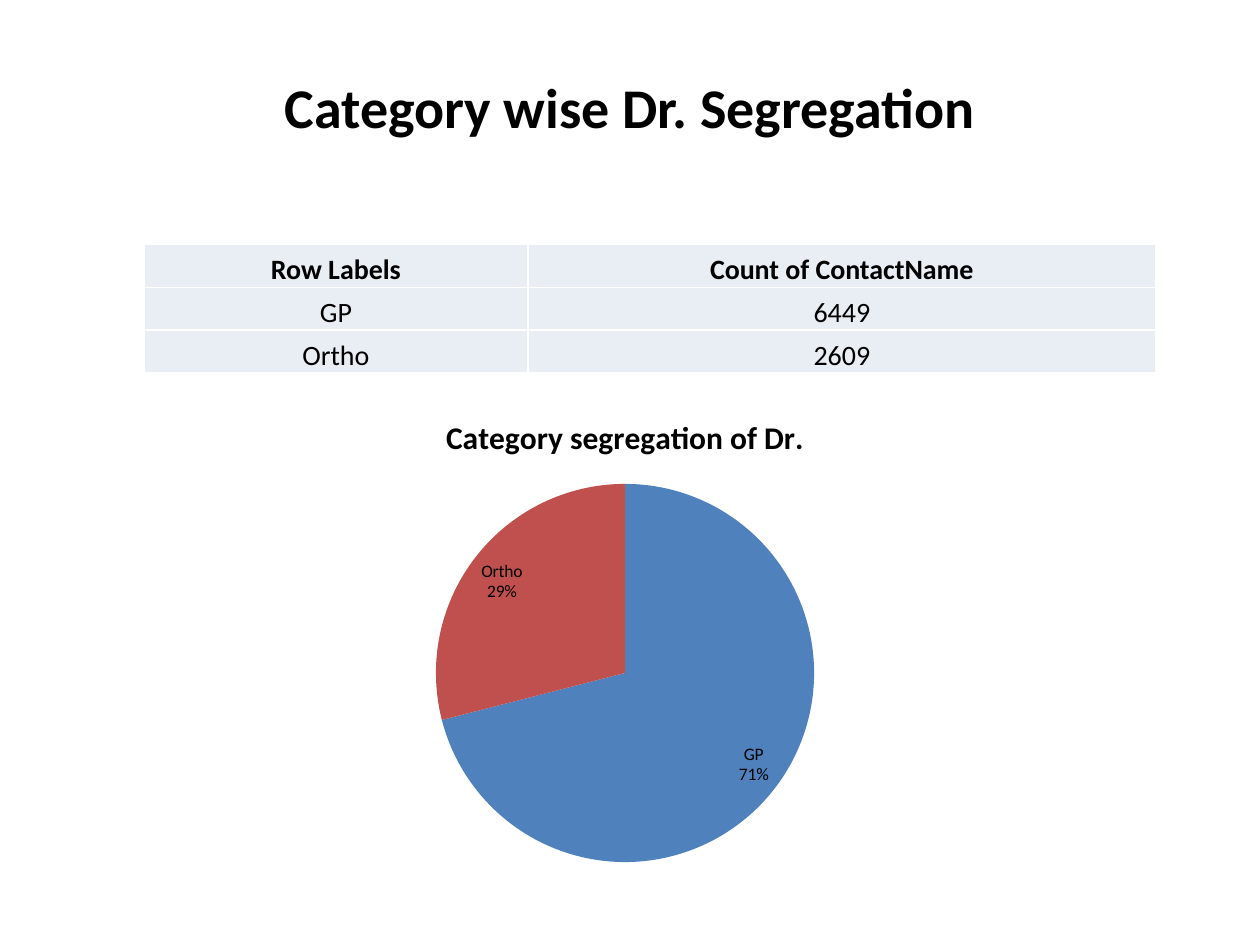
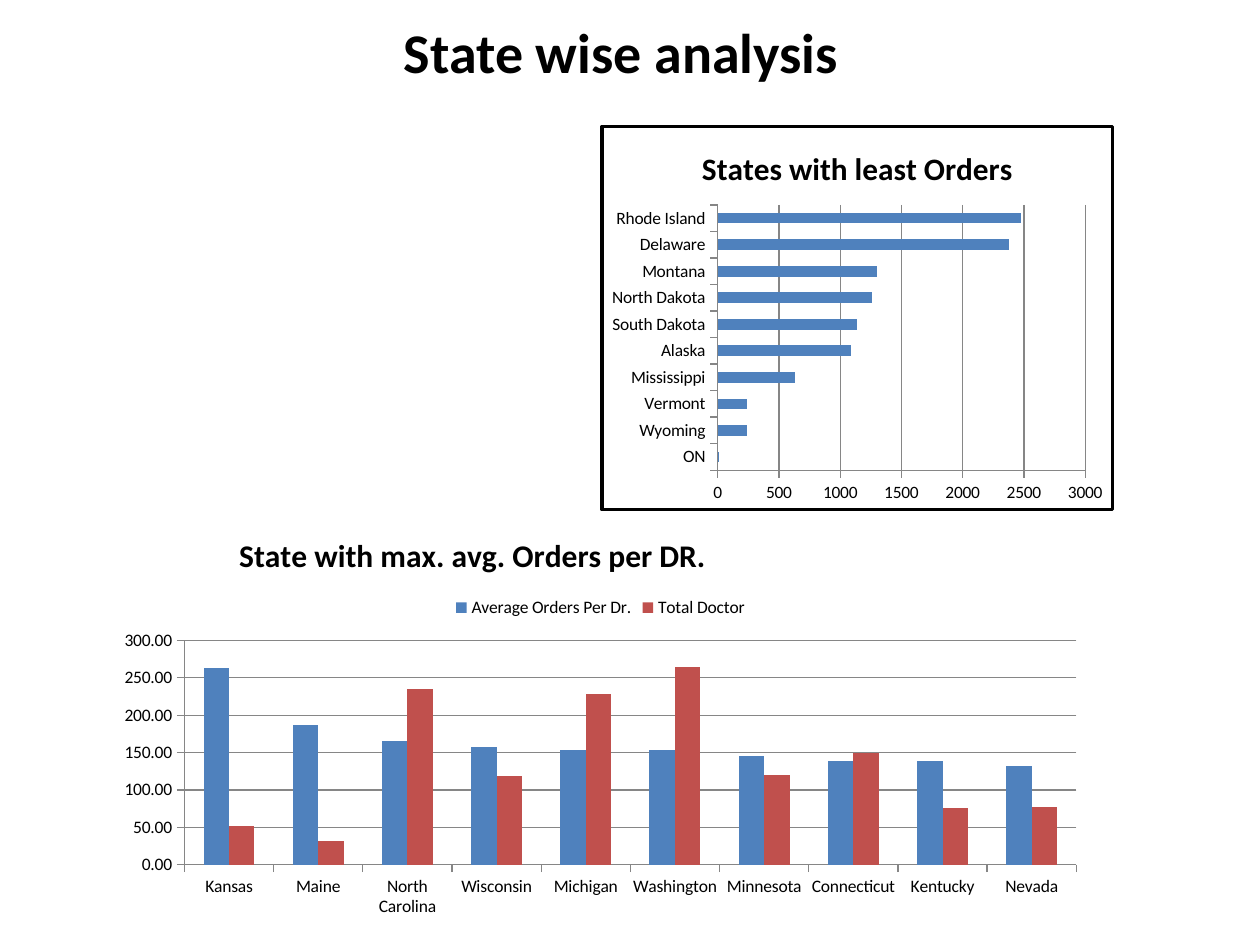
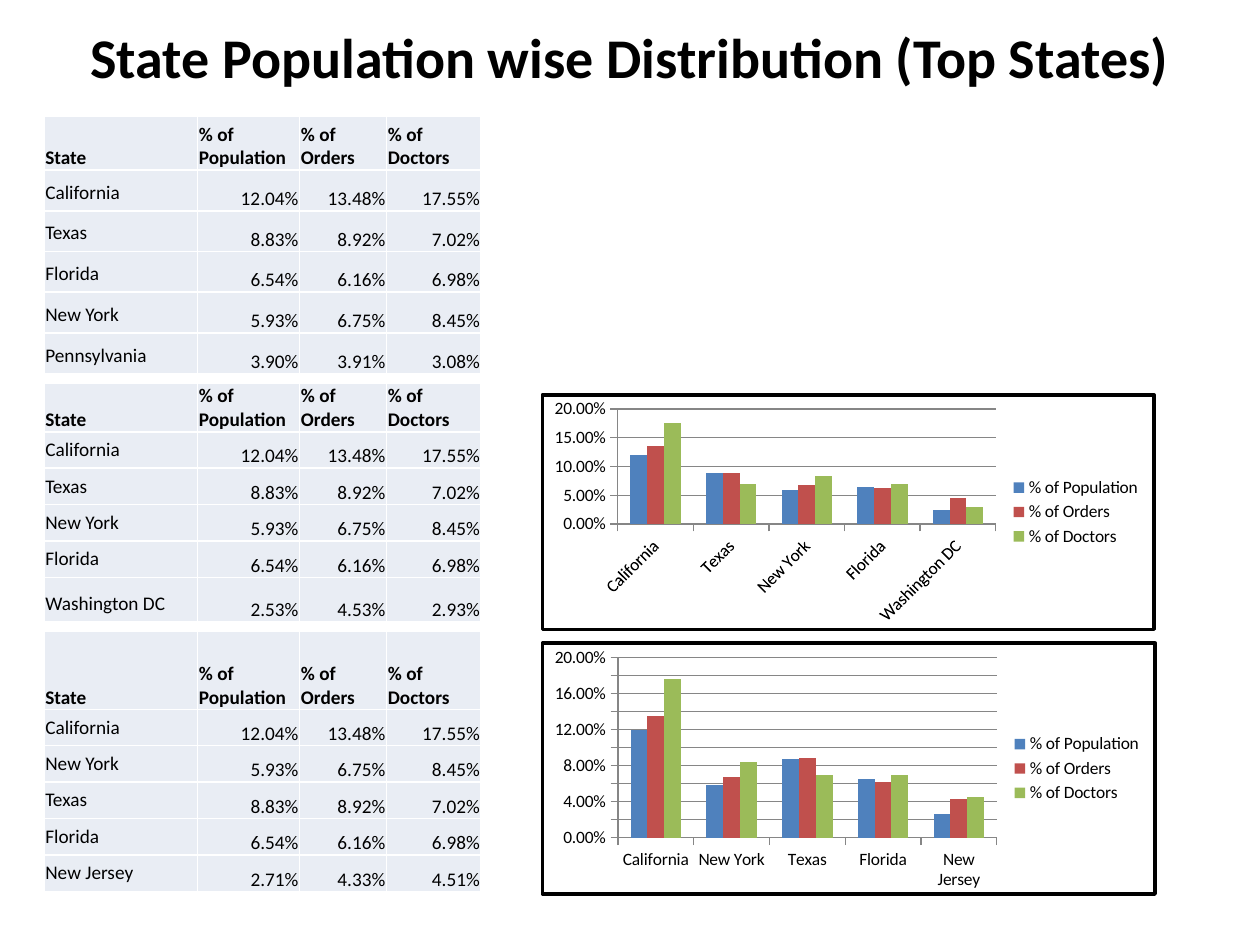
"""Build three slides on doctor and order distribution by category and state."""
from dataclasses import dataclass
from typing import Any, Optional

from pptx import Presentation
from pptx.chart.data import CategoryChartData
from pptx.dml.color import RGBColor
from pptx.enum.chart import XL_CHART_TYPE, XL_LABEL_POSITION, XL_LEGEND_POSITION, XL_TICK_MARK
from pptx.enum.text import MSO_ANCHOR, MSO_AUTO_SIZE, PP_ALIGN
from pptx.oxml import parse_xml
from pptx.oxml.ns import nsdecls, qn
from pptx.util import Pt

COLORS = {
    "text": "000000",
    "paper": "FFFFFF",
    "cell": "E9EDF4",
    "axis": "868686",
    "blue": "4F81BD",
    "red": "C0504D",
    "green": "9BBB59",
}
PALETTE = ("blue", "red", "green")
FONT = "Calibri"
TITLE_FONT = {"name": FONT, "size": Pt(32), "bold": True}
CHART_FONT = {"name": FONT, "size": Pt(10), "bold": False}
CHART_TITLE_FONT = {"name": FONT, "size": Pt(18), "bold": True}
TIGHT = {"margin_left": Pt(0.7), "margin_top": Pt(0.7), "margin_right": Pt(0.7), "margin_bottom": 0}
PADDED = {**TIGHT, "margin_top": Pt(3.6), "margin_bottom": Pt(3.6)}

MEASURES = ("% of Population", "% of Orders", "% of Doctors")
SHARES = {
    "California": (12.04, 13.48, 17.55),
    "Texas": (8.83, 8.92, 7.02),
    "Florida": (6.54, 6.16, 6.98),
    "New York": (5.93, 6.75, 8.45),
    "Pennsylvania": (3.90, 3.91, 3.08),
    "Washington DC": (2.53, 4.53, 2.93),
    "New Jersey": (2.71, 4.33, 4.51),
}
TOP_POPULATION = ("California", "Texas", "Florida", "New York", "Pennsylvania")
TOP_ORDERS = ("California", "Texas", "New York", "Florida", "Washington DC")
TOP_DOCTORS = ("California", "New York", "Texas", "Florida", "New Jersey")


@dataclass
class Box:
    """A place on the slide, in points."""
    left: float
    top: float
    width: float
    height: float

    def lengths(self) -> tuple:
        """Return the four lengths for python-pptx."""
        return tuple(Pt(v) for v in (self.left, self.top, self.width, self.height))


@dataclass
class Grid:
    """A table with a bold header row."""
    left: float
    top: float
    widths: tuple
    heights: tuple
    rows: list
    size: float
    centred: bool = False


@dataclass
class Graph:
    """A chart and its options."""
    box: Box
    kind: Any
    cats: tuple
    series: dict
    title: Optional[str] = None
    title_at: Optional[tuple] = None
    legend: Any = None
    number_format: str = "General"
    framed: bool = False


def rgb(name: str) -> RGBColor:
    """Return a named colour."""
    return RGBColor.from_string(COLORS[name])


def apply(target: Any, values: dict) -> None:
    """Set attributes from a dict of format values."""
    for name, value in values.items():
        setattr(target, name, value)


def set_font(font: Any, values: dict) -> None:
    """Format a font in the text colour."""
    apply(font, values)
    font.color.rgb = rgb("text")


def add_slide(prs: Any, title: str, box: Box) -> Any:
    """Add a title-only slide with its title placed and formatted."""
    s = prs.slides.add_slide(prs.slide_layouts[5])
    sp = s.shapes.title
    sp.left, sp.top, sp.width, sp.height = box.lengths()
    tf = sp.text_frame
    apply(tf, {"word_wrap": True, "auto_size": MSO_AUTO_SIZE.NONE, "vertical_anchor": MSO_ANCHOR.MIDDLE})
    p = tf.paragraphs[0]
    p.alignment = PP_ALIGN.CENTER
    r = p.add_run()
    r.text = title
    set_font(r.font, TITLE_FONT)
    return s


def add_grid(s: Any, grid: Grid) -> None:
    """Draw a table with pale cells and white rules."""
    box = Box(grid.left, grid.top, sum(grid.widths), sum(grid.heights))
    frame = s.shapes.add_table(len(grid.rows), len(grid.widths), *box.lengths())
    table = frame.table
    apply(table, {"first_row": False, "horz_banding": False})
    for column, width in zip(table.columns, grid.widths):
        column.width = Pt(width)
    for row, height in zip(table.rows, grid.heights):
        row.height = Pt(height)
    for i, texts in enumerate(grid.rows):
        for j, text in enumerate(texts):
            cell = table.cell(i, j)
            label = i > 0 and j == 0 and not grid.centred
            apply(cell, {**(PADDED if label else TIGHT), "vertical_anchor": MSO_ANCHOR.BOTTOM})
            cell.fill.solid()
            cell.fill.fore_color.rgb = rgb("cell")
            p = cell.text_frame.paragraphs[0]
            if grid.centred:
                p.alignment = PP_ALIGN.CENTER
            else:
                p.alignment = PP_ALIGN.RIGHT if i and j else PP_ALIGN.LEFT
            r = p.add_run()
            r.text = text
            set_font(r.font, {"name": FONT, "size": Pt(grid.size), "bold": i == 0})
    for props in frame.element.iter(qn("a:tcPr")):
        for k, side in enumerate("LRTB"):
            props.insert(k, parse_xml(
                f'<a:ln{side} {nsdecls("a")} w="{Pt(1)}"><a:solidFill>'
                f'<a:srgbClr val="{COLORS["paper"]}"/></a:solidFill></a:ln{side}>'))


def style_axes(chart: Any, number_format: str) -> None:
    """Format both axes and the value gridlines."""
    for axis in (chart.category_axis, chart.value_axis):
        apply(axis, {"major_tick_mark": XL_TICK_MARK.OUTSIDE, "minor_tick_mark": XL_TICK_MARK.NONE})
        axis.format.line.color.rgb = rgb("axis")
        axis.format.line.width = Pt(0.75)
    axis.has_major_gridlines = True
    axis.major_gridlines.format.line.color.rgb = rgb("axis")
    axis.major_gridlines.format.line.width = Pt(0.75)
    apply(axis.tick_labels, {"number_format": number_format, "number_format_is_linked": False})


def style_pie(plot: Any) -> None:
    """Colour the slices and label them with category and share."""
    for k in range(len(plot.categories)):
        fill = plot.series[0].points[k].format.fill
        fill.solid()
        fill.fore_color.rgb = rgb(PALETTE[k])
    plot.has_data_labels = True
    labels = plot.data_labels
    apply(labels, {"show_value": False, "show_percentage": True, "show_category_name": True,
                   "position": XL_LABEL_POSITION.INSIDE_END})
    set_font(labels.font, CHART_FONT)


def style_bars(plot: Any) -> None:
    """Colour the series of a bar or column plot."""
    apply(plot, {"gap_width": 150, "overlap": 0, "vary_by_categories": False})
    for series, color in zip(plot.series, PALETTE):
        series.format.fill.solid()
        series.format.fill.fore_color.rgb = rgb(color)


def set_title(chart: Any, graph: Graph) -> None:
    """Write the chart title, at a given place if there is one."""
    chart.has_title = graph.title is not None
    if graph.title is None:
        return
    r = chart.chart_title.text_frame.paragraphs[0].add_run()
    r.text = graph.title
    set_font(r.font, CHART_TITLE_FONT)
    if graph.title_at:
        x, y = graph.title_at
        layout = chart.chart_title.element.find(qn("c:layout"))
        layout.append(parse_xml(
            f'<c:manualLayout {nsdecls("c")}><c:xMode val="edge"/><c:yMode val="edge"/>'
            f'<c:x val="{x}"/><c:y val="{y}"/></c:manualLayout>'))


def add_graph(s: Any, graph: Graph) -> None:
    """Draw a chart."""
    data = CategoryChartData(number_format=graph.number_format)
    data.categories = graph.cats
    for name, values in graph.series.items():
        data.add_series(name, values)
    chart = s.shapes.add_chart(graph.kind, *graph.box.lengths(), data).chart
    set_font(chart.font, CHART_FONT)
    set_title(chart, graph)
    chart.has_legend = graph.legend is not None
    if chart.has_legend:
        apply(chart.legend, {"position": graph.legend, "include_in_layout": False})
    if graph.kind == XL_CHART_TYPE.PIE:
        style_pie(chart.plots[0])
    else:
        style_bars(chart.plots[0])
        style_axes(chart, graph.number_format)
    if graph.framed:
        chart.element.find(qn("c:chart")).addnext(parse_xml(
            f'<c:spPr {nsdecls("c", "a")}><a:solidFill><a:srgbClr val="{COLORS["paper"]}"/></a:solidFill>'
            f'<a:ln w="{Pt(2)}"><a:solidFill><a:srgbClr val="{COLORS["text"]}"/></a:solidFill></a:ln></c:spPr>'))


def share_grid(top: float, heights: tuple, states: tuple) -> Grid:
    """Describe a table of state shares."""
    rows = [("State", *MEASURES)]
    rows += [(state, *(f"{v:.2f}%" for v in SHARES[state])) for state in states]
    return Grid(25.2, top, (87.8, 58.3, 49.7, 54), heights, rows, 11)


def share_graph(box: Box, states: tuple) -> Graph:
    """Describe a framed column chart of state shares."""
    series = {name: [round(SHARES[state][k] / 100, 3) for state in states]
              for k, name in enumerate(MEASURES)}
    return Graph(box, XL_CHART_TYPE.COLUMN_CLUSTERED, states, series,
                 legend=XL_LEGEND_POSITION.RIGHT, number_format="0.00%", framed=True)


def build_categories(prs: Any) -> None:
    """Build the slide on doctor categories."""
    s = add_slide(prs, "Category wise Dr. Segregation", Box(36, 21.6, 648, 78.5))
    rows = [("Row Labels", "Count of ContactName"), ("GP", "6449"), ("Ortho", "2609")]
    add_grid(s, Grid(82.4, 139.7, (219.2, 359), (24.5,) * 3, rows, 16, centred=True))
    add_graph(s, Graph(Box(139, 224.6, 436.3, 278), XL_CHART_TYPE.PIE, ("GP", "Ortho"),
                       {"Series 1": (71, 29)}, "Category segregation of Dr."))


def build_states(prs: Any) -> None:
    """Build the slide on orders by state."""
    s = add_slide(prs, "State wise analysis", Box(31, 9.4, 648, 39.6))
    add_graph(s, Graph(
        Box(343, 71.3, 293.8, 221), XL_CHART_TYPE.BAR_CLUSTERED,
        ("ON", "Wyoming", "Vermont", "Mississippi", "Alaska", "South Dakota", "North Dakota",
         "Montana", "Delaware", "Rhode Island"),
        {"Series 1": (10, 240, 240, 630, 1090, 1140, 1260, 1300, 2380, 2480)},
        "States with least Orders", framed=True))
    add_graph(s, Graph(
        Box(59.8, 292.3, 566.6, 236.2), XL_CHART_TYPE.COLUMN_CLUSTERED,
        ("Kansas", "Maine", "North Carolina", "Wisconsin", "Michigan", "Washington", "Minnesota",
         "Connecticut", "Kentucky", "Nevada"),
        {"Average Orders Per Dr.": (263, 187, 166, 157, 154, 154, 146, 139, 139, 132),
         "Total Doctor": (52, 32, 235, 119, 229, 264, 120, 149, 76, 77)},
        "State with max. avg. Orders per DR.", (0.13, 0.04), XL_LEGEND_POSITION.TOP, "0.00"))


def build_population(prs: Any) -> None:
    """Build the slide on shares of the top states."""
    s = add_slide(prs, "State Population wise Distribution (Top States)", Box(36, 9.4, 648, 45.4))
    for grid in (
        share_grid(66.2, (31, *(23.3,) * 5), TOP_POPULATION),
        share_grid(218.9, (22.3, *(18,) * 4, 25.2), TOP_ORDERS),
        share_grid(360.7, (44.6, *(15.1,) * 4, 15.8), TOP_DOCTORS),
    ):
        add_grid(s, grid)
    add_graph(s, share_graph(Box(309, 224.6, 351.4, 136), TOP_ORDERS))
    add_graph(s, share_graph(Box(309, 366.5, 352, 145.4), TOP_DOCTORS))


def main() -> None:
    """Build and save the presentation."""
    prs = Presentation()
    prs.slide_width, prs.slide_height = Pt(720), Pt(540)
    for build in (build_categories, build_states, build_population):
        build(prs)
    prs.save("out.pptx")


if __name__ == "__main__":
    main()
